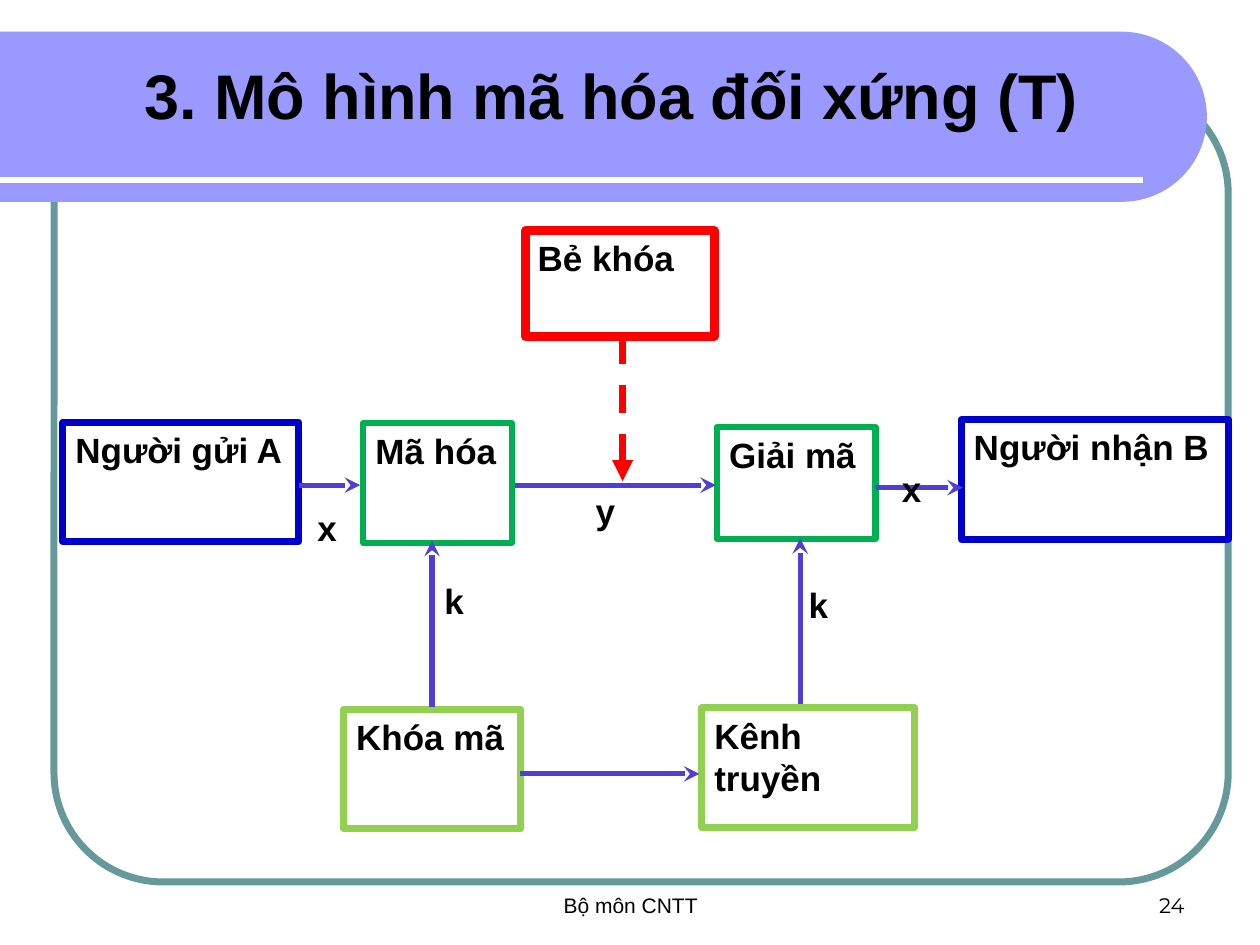
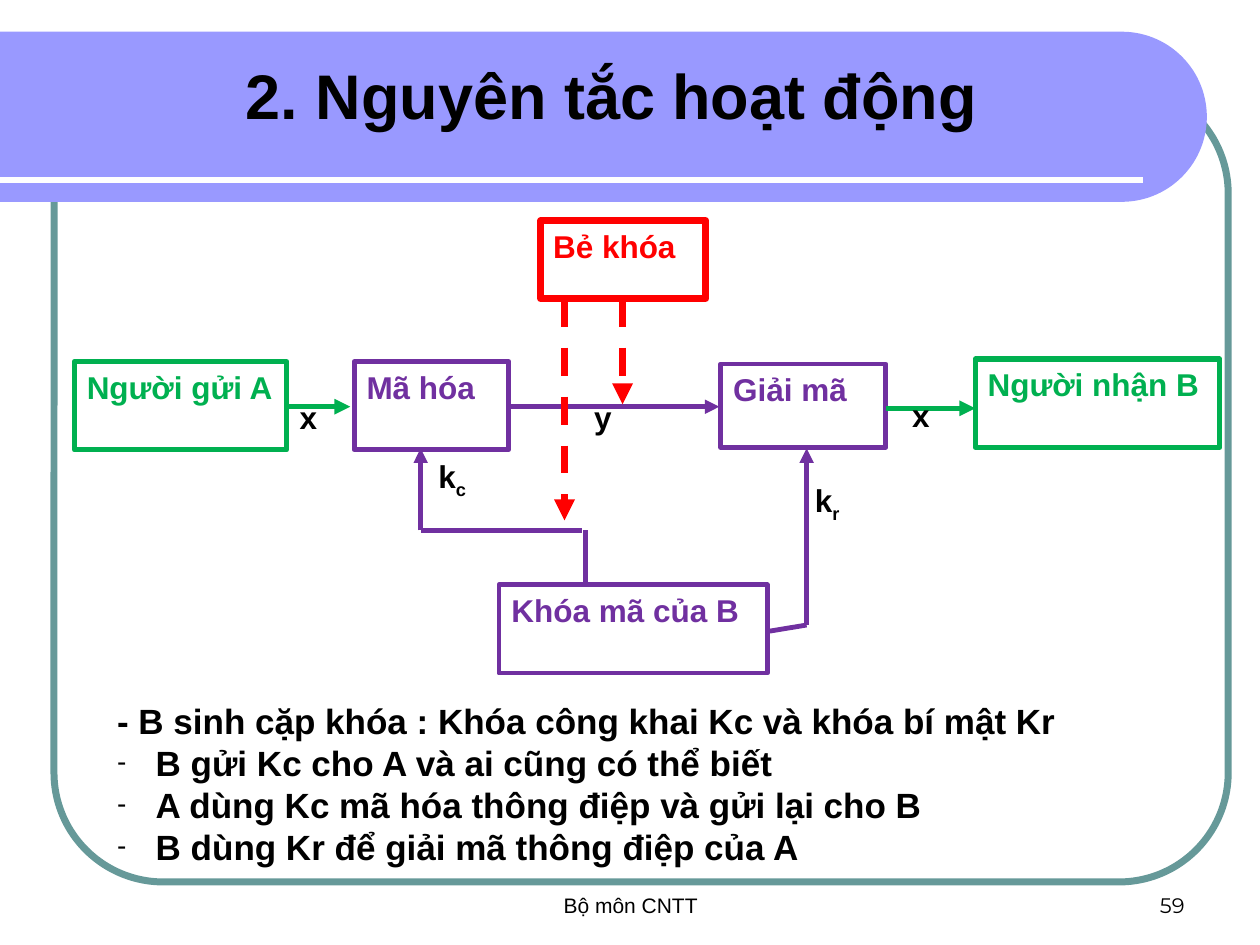
from math import cos, pi, sin

from lxml.etree import SubElement
from pptx import Presentation
from pptx.dml.color import RGBColor
from pptx.enum.dml import MSO_LINE_DASH_STYLE as Dash
from pptx.enum.shapes import MSO_CONNECTOR as Link, MSO_SHAPE as Shape
from pptx.enum.text import MSO_ANCHOR as Anchor, MSO_AUTO_SIZE as AutoSize, PP_ALIGN as Align
from pptx.oxml.ns import qn
from pptx.util import Cm, Pt

COLOURS = {
    "black": "000000", "white": "FFFFFF", "frame": "669999", "band": "9999FF",
    "blue": "0000CC", "red": "FF0000", "green": "00B050", "lime": "92D050",
    "indigo": "503ED6", "purple": "7030A0",
}
TITLE_ONLY = 5


def rgb(name):
    return RGBColor.from_string(COLOURS[name])


def set_bullet(paragraph, char, indent, colour):
    props = paragraph._p.get_or_add_pPr()
    props.set("marL", str(Cm(indent)))
    props.set("indent", str(-Cm(indent)))
    SubElement(SubElement(props, qn("a:buClr")), qn("a:srgbClr"), val=COLOURS[colour])
    SubElement(props, qn("a:buSzPct"), val="80000")
    SubElement(props, qn("a:buFont"), typeface="Arial")
    SubElement(props, qn("a:buChar"), char=char)


def write_text(frame, text, size=20, colour="black", bold=True, font="Arial",
               align=Align.LEFT, anchor=Anchor.TOP, sub="", bullets=()):
    """Fill a frame with a line, an optional subscript and optional bulleted lines."""
    frame.word_wrap = True
    frame.auto_size = AutoSize.NONE
    frame.vertical_anchor = anchor
    for number, line in enumerate([text, *bullets]):
        paragraph = frame.add_paragraph() if number else frame.paragraphs[0]
        paragraph.alignment = align
        if number:
            set_bullet(paragraph, "-", 0.78, colour)
        for part in filter(None, (line, sub)):
            run = paragraph.add_run()
            run.text = part
            run.font.name, run.font.size, run.font.bold = font, Pt(size), bold
            run.font.color.rgb = rgb(colour)
            if part == sub:
                run._r.get_or_add_rPr().set("baseline", "-25000")


class Deck:
    def __init__(self):
        self.show = Presentation()
        self.show.slide_width, self.show.slide_height = Cm(25.4), Cm(19.05)
        self.shapes = None
        self.text_size = self.head = None

    def start_slide(self, title, number, text_size, head):
        """Add a slide with the shared decoration, title and footer."""
        self.text_size, self.head = text_size, head
        self.shapes = self.show.slides.add_slide(self.show.slide_layouts[TITLE_ONLY]).shapes

        # Frame, band and the rule across the band
        frame = self.outline(Shape.ROUNDED_RECTANGLE, (1.09, 1.7, 23.67, 16.08), "frame", 4)
        frame.adjustments[0] = 0.137
        self.band(top=0.64, height=3.43, right=24.33)
        self.line((0, 3.63), (23.04, 3.63), "white", 3)

        # Title, lifted above the band
        heading = self.shapes.title
        heading.element.getparent().append(heading.element)
        heading.left, heading.top, heading.width, heading.height = map(Cm, (0.53, 0.64, 23.6, 2.54))
        write_text(heading.text_frame, title, size=36, align=Align.CENTER, anchor=Anchor.MIDDLE)

        # Footer
        footer = {"size": 12, "bold": False, "anchor": Anchor.BOTTOM}
        self.label("Bộ môn CNTT", (8.69, 17.35, 8.05, 1.27), align=Align.CENTER, **footer)
        self.label(number, (18.21, 17.35, 5.92, 1.27), align=Align.RIGHT, font="Montserrat", **footer)

    def outline(self, kind, area, colour, width):
        shape = self.shapes.add_shape(kind, *map(Cm, area))
        shape.shadow.inherit = False
        shape.fill.background()
        shape.line.color.rgb = rgb(colour)
        shape.line.width = Pt(width)
        return shape

    def band(self, top, height, right, steps=60):
        """Draw a band from the left edge that ends in a half circle."""
        radius = height / 2
        angles = [pi * (step / steps - 0.5) for step in range(steps + 1)]
        arc = [(Cm(right - radius + radius * cos(a)), Cm(top + radius + radius * sin(a)))
               for a in angles]
        builder = self.shapes.build_freeform(0, Cm(top))
        builder.add_line_segments([*arc, (0, Cm(top + height))], close=True)
        band = builder.convert_to_shape()
        band.shadow.inherit = False
        band.fill.solid()
        band.fill.fore_color.rgb = rgb("band")
        band.line.fill.background()

    def box(self, text, area, colour, width, text_colour="black"):
        box = self.outline(Shape.RECTANGLE, area, colour, width)
        box.fill.solid()
        box.fill.fore_color.rgb = rgb("white")
        write_text(box.text_frame, text, size=self.text_size, colour=text_colour)

    def label(self, text, area, **style):
        frame = self.shapes.add_textbox(*map(Cm, area)).text_frame
        write_text(frame, text, **{"size": self.text_size, **style})

    def line(self, start, end, colour, width, head=None, dashed=False):
        line = self.shapes.add_connector(Link.STRAIGHT, *map(Cm, (*start, *end)))
        line.line.color.rgb = rgb(colour)
        line.line.width = Pt(width)
        if dashed:
            line.line.dash_style = Dash.DASH
        if head:
            SubElement(line.line._get_or_add_ln(), qn("a:tailEnd"), type=head)
        SubElement(line.element.spPr, qn("a:effectLst"))

    def arrow(self, start, end, colour, width=3):
        self.line(start, end, colour, width, head=self.head)

    def attack(self, start, end):
        self.line(start, end, "red", 4, head="triangle", dashed=True)


def symmetric_model(deck):
    deck.start_slide("3. Mô hình mã hóa đối xứng (T)", "24", text_size=20, head="stealth")

    # Parties, ciphers and keys
    for text, area, colour, width in [
        ("Người gửi A", (1.27, 8.51, 4.75, 2.41), "blue", 4),
        ("Bẻ khóa", (10.59, 4.65, 3.81, 2.13), "red", 5),
        ("Người nhận B", (19.38, 8.46, 5.38, 2.41), "blue", 4),
        ("Mã hóa", (7.32, 8.53, 3, 2.41), "green", 3.5),
        ("Giải mã", (14.45, 8.61, 3.2, 2.26), "green", 3.5),
        ("Khóa mã", (6.93, 14.3, 3.56, 2.41), "lime", 4),
        ("Kênh truyền", (14.15, 14.27, 4.29, 2.41), "lime", 4),
    ]:
        deck.box(text, area, colour, width)

    # Message and key flow
    for start, end in [
        ((6.02, 9.78), (7.26, 9.78)),
        ((10.39, 9.78), (14.43, 9.78)),
        ((17.65, 9.83), (19.41, 9.83)),
        ((10.49, 15.6), (14.1, 15.6)),
        ((8.71, 14.25), (8.71, 10.9)),
        ((16.13, 14.2), (16.13, 10.85)),
    ]:
        deck.arrow(start, end, "indigo")
    deck.attack((12.55, 6.78), (12.55, 9.7))

    for symbol, left, top in [("x", 6.15, 10.08), ("y", 11.76, 9.75), ("k", 8.71, 11.56),
                              ("x", 17.93, 9.3), ("k", 16.05, 11.63)]:
        deck.label(symbol, (left, top, 1.27, 1.2))


def public_key_principle(deck):
    deck.start_slide("2. Nguyên tắc hoạt động", "59", text_size=18, head="triangle")

    # Parties, ciphers and keys
    for text, area, colour, width in [
        ("Người gửi A", (1.5, 7.29, 4.28, 1.78), "green", 3),
        ("Bẻ khóa", (10.9, 4.45, 3.33, 1.57), "red", 4),
        ("Người nhận B", (19.66, 7.24, 4.93, 1.78), "green", 3),
        ("Mã hóa", (7.14, 7.29, 3.12, 1.78), "purple", 2.75),
        ("Giải mã", (14.53, 7.34, 3.33, 1.68), "purple", 2.75),
        ("Khóa mã của B", (10.06, 11.79, 5.41, 1.78), "purple", 2.75),
    ]:
        deck.box(text, area, colour, width, text_colour=colour)

    # Message flow
    deck.arrow((5.77, 8.2), (7.06, 8.2), "green")
    deck.arrow((10.31, 8.2), (14.5, 8.2), "purple", 2.75)
    deck.arrow((17.86, 8.23), (19.66, 8.23), "green")

    # Key flow from B to both ciphers
    deck.arrow((8.48, 10.69), (8.48, 9.04), "purple", 2.75)
    deck.arrow((16.26, 12.6), (16.26, 9.04), "purple", 2.75)
    for start, end in [((8.48, 10.69), (11.73, 10.69)),
                       ((15.47, 12.73), (16.26, 12.6)),
                       ((11.81, 10.69), (11.81, 11.79))]:
        deck.line(start, end, "purple", 2.75)

    # Attacks on the message and on the public key
    for x, reach in [(12.55, 8.15), (11.38, 10.49)]:
        deck.attack((x, 6.02), (x, reach))

    for symbol, sub, left, top in [("x", "", 5.79, 7.9), ("y", "", 11.73, 7.9),
                                   ("k", "c", 8.59, 9.09), ("x", "", 18.14, 7.85),
                                   ("k", "r", 16.18, 9.58)]:
        deck.label(symbol, (left, top, 1.65, 1.5), sub=sub)

    # Steps
    deck.label("- B sinh cặp khóa : Khóa công khai Kc và khóa bí mật Kr",
               (2.11, 13.97, 21.79, 4.5), size=20,
               bullets=["B gửi Kc cho A và ai cũng có thể biết",
                        "A dùng Kc mã hóa thông điệp và gửi lại cho B",
                        "B dùng Kr để giải mã thông điệp của A"])


def main():
    deck = Deck()
    symmetric_model(deck)
    public_key_principle(deck)
    deck.show.save("out.pptx")


if __name__ == "__main__":
    main()
